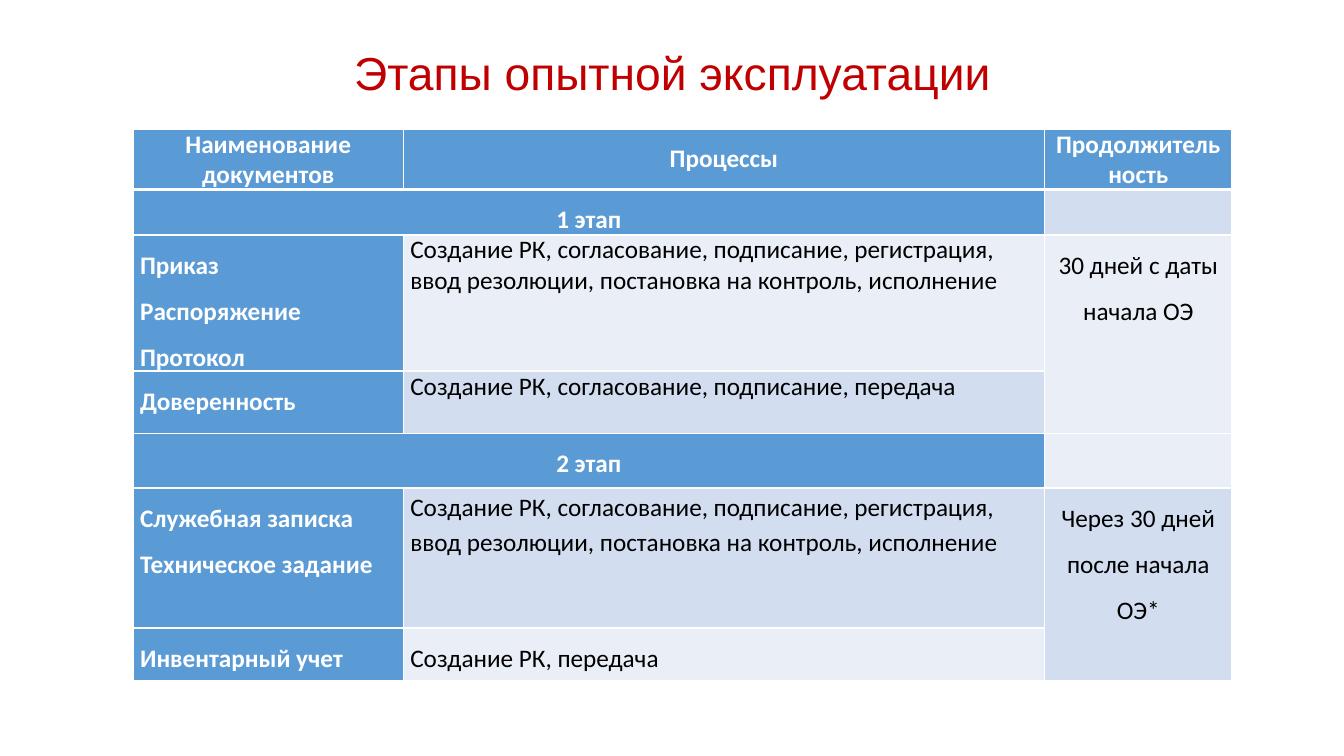
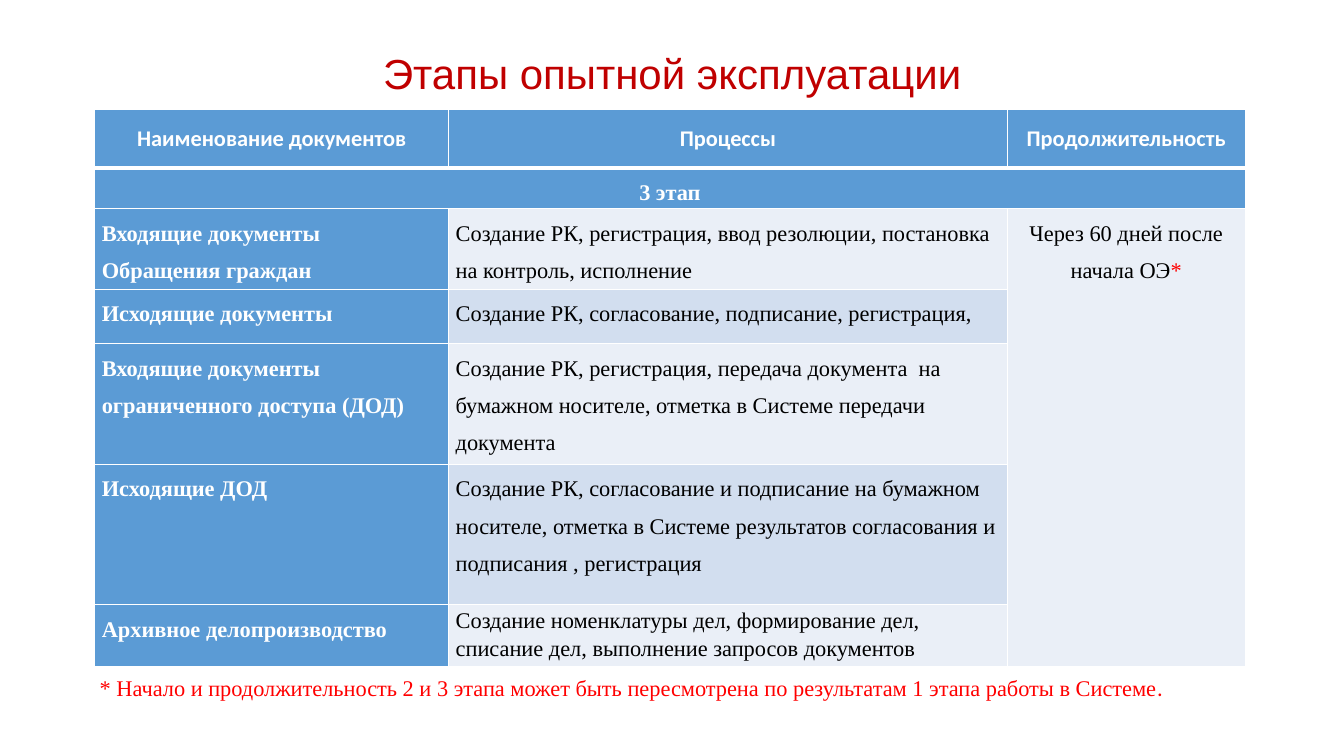
from lxml import etree
from pptx import Presentation
from pptx.dml.color import RGBColor
from pptx.enum.text import MSO_ANCHOR, PP_ALIGN
from pptx.oxml.ns import qn
from pptx.util import Inches, Pt

LEFT, MID = PP_ALIGN.LEFT, PP_ALIGN.CENTER
TOP, CENTER = MSO_ANCHOR.TOP, MSO_ANCHOR.MIDDLE
HUES = {"title": "C00000", "head": "5B9BD5", "odd": "D2DEEF", "even": "EAEFF7",
        "white": "FFFFFF", "black": "000000", "red": "FF0000"}
TITLE = "Этапы опытной эксплуатации"
HEADS = ("Наименование документов", "Процессы", "Продолжительность")
SANS, SERIF = "Calibri", "Times New Roman"
INSETS = {"margin_left": Inches(0.07), "margin_right": Inches(0.07),
          "margin_top": 0, "margin_bottom": 0}
FULL = "Создание РК, согласование, подписание, регистрация, ввод резолюции, постановка на контроль, исполнение"


def apply(item, form):
    for key, value in form.items():
        setattr(item, key, value)


def write(frame, lines, size, face, hue, bold=False, align=LEFT, space=1.0):
    for num, line in enumerate(lines):
        para = frame.paragraphs[0] if num == 0 else frame.add_paragraph()
        apply(para, {"alignment": align, "line_spacing": space})
        for text, change in [(line, {})] if isinstance(line, str) else line:
            look = {"face": face, "hue": hue} | change
            run = para.add_run()
            run.text = text
            apply(run.font, {"size": Pt(size), "name": look["face"], "bold": bold})
            run.font.color.rgb = RGBColor.from_string(HUES[look["hue"]])


def add_text(slide, box, lines, size, face, hue, anchor=TOP, **form):
    frame = slide.shapes.add_textbox(*map(Inches, box)).text_frame
    apply(frame, {"word_wrap": True, "vertical_anchor": anchor})
    write(frame, lines, size, face, hue, **form)


def edge(cell, row):
    props = cell._tc.get_or_add_tcPr()
    thick = {"lnT": row == 1, "lnB": row == 0}
    for num, tag in enumerate(("lnL", "lnR", "lnT", "lnB")):
        line = etree.Element(qn("a:" + tag), w=str(Pt(3 if thick.get(tag) else 1)))
        fill = etree.SubElement(line, qn("a:solidFill"))
        etree.SubElement(fill, qn("a:srgbClr"), val=HUES["white"])
        props.insert(num, line)


def add_grid(slide, spot, cols, rows, size, face):
    high = [row[0] for row in rows]
    box = (*spot, sum(cols), sum(high))
    grid = slide.shapes.add_table(len(rows), len(cols), *map(Inches, box)).table
    apply(grid, {"first_row": False, "horz_banding": False})
    for col, width in zip(grid.columns, cols):
        col.width = Inches(width)
    for num, (height, name, work, term, space) in enumerate(rows):
        grid.rows[num].height = Inches(height)
        stage = work is None
        for col, lines in enumerate((name, work, term)):
            cell = grid.cell(num, col)
            head = num == 0 or col == 0 or (stage and lines is None)
            apply(cell, INSETS | {"vertical_anchor": CENTER if num == 0 else TOP})
            cell.fill.solid()
            tone = "head" if head else ("even", "odd")[num % 2]
            cell.fill.fore_color.rgb = RGBColor.from_string(HUES[tone])
            edge(cell, num)
            if lines:
                mid = num == 0 or col == 2 or stage
                gap = 1.0 if num == 0 else space if col == 1 else 1.5
                write(cell.text_frame, lines, size, SANS if num == 0 else face,
                      "white" if head else "black", bold=head,
                      align=MID if mid else LEFT, space=gap)
        if stage:
            grid.cell(num, 0).merge(grid.cell(num, 2 if term is None else 1))
        elif term:
            last = num
            while last + 1 < len(rows) and rows[last + 1][2] and rows[last + 1][3] is None:
                last += 1
            if last > num:
                grid.cell(num, 2).merge(grid.cell(last, 2))


def add_page(deck, size, spot, cols, rows, text, face):
    slide = deck.slides.add_slide(deck.slide_layouts[6])
    add_text(slide, (0.92, 0.4, 11.5, 0.7), [TITLE], size, "Arial", "title",
             anchor=CENTER, align=MID, space=0.9)
    top = (0.58, *([head] for head in HEADS), 1.0)
    add_grid(slide, spot, cols, [top, *rows], text, face)
    return slide


FIRST = [
    (0.41, ["1 этап"], None, [], 1.5),
    (1.34, ["Приказ", "Распоряжение", "Протокол"], [FULL], ["30 дней с даты начала ОЭ"], 1.0),
    (0.62, ["Доверенность"], ["Создание РК, согласование, подписание, передача"], None, 1.0),
    (0.54, ["2 этап"], None, [], 1.5),
    (1.39, ["Служебная записка", "Техническое задание"], [FULL],
     ["Через 30 дней после начала ОЭ*"], 1.15),
    (0.52, ["Инвентарный учет"], ["Создание РК, передача"], None, 1.5),
]
THIRD = [
    (0.39, ["3 этап"], None, None, 1.5),
    (0.74, ["Входящие документы", "Обращения граждан"],
     ["Создание РК, регистрация, ввод резолюции, постановка на контроль, исполнение"],
     [[("Через 60 дней после начала ОЭ", {}), ("*", {"hue": "red"})]], 1.5),
    (0.54, ["Исходящие документы"],
     ["Создание РК, согласование, подписание, регистрация,"], None, 1.5),
    (1.11, ["Входящие документы ограниченного доступа (ДОД)"],
     ["Создание РК, регистрация, передача документа  на бумажном носителе, "
      "отметка в Системе передачи документа"], None, 1.5),
    (1.39, ["Исходящие ДОД"],
     ["Создание РК, согласование и подписание на бумажном носителе, отметка в Системе "
      "результатов согласования и подписания , регистрация"], None, 1.5),
    (0.57, ["Архивное делопроизводство"],
     ["Создание номенклатуры дел, формирование дел, списание дел, "
      "выполнение запросов документов"], None, 1.15),
]
NOTE = [("* Начало и продолжительность 2 и 3 этапа может быть пересмотрена "
         "по результатам 1 этапа работы в Системе", {}), (".", {"face": SANS})]

deck = Presentation()
apply(deck, {"slide_width": Inches(13.33), "slide_height": Inches(7.5)})
add_page(deck, 33, (1.32, 1.28), (2.68, 6.36, 1.86), FIRST, 18, SANS)
last = add_page(deck, 30, (0.94, 1.09), (3.51, 5.54, 2.36), THIRD, 16, SERIF)
add_text(last, (0.89, 6.64, 11.35, 0.37), [NOTE], 16, SERIF, "red")
deck.save("out.pptx")
